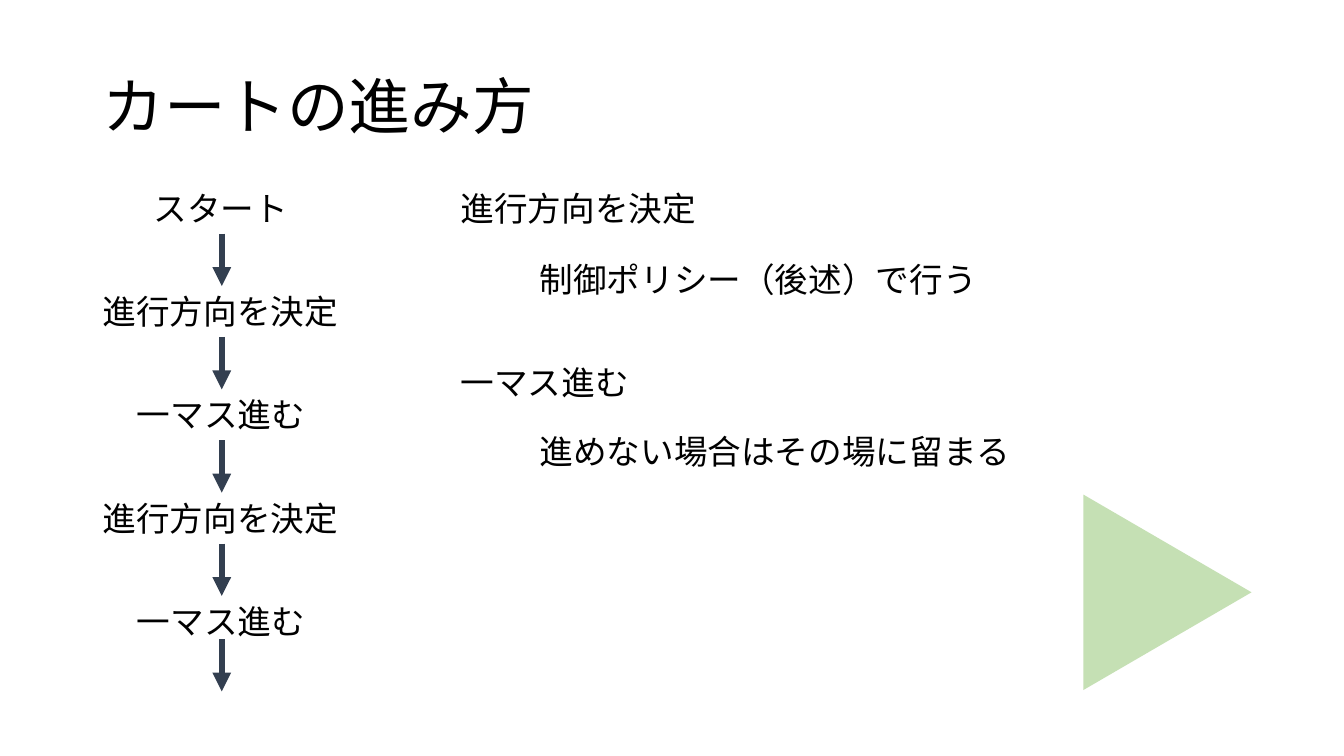
from lxml.etree import SubElement
from pptx import Presentation
from pptx.dml.color import RGBColor
from pptx.enum.shapes import MSO_CONNECTOR, MSO_SHAPE
from pptx.enum.text import MSO_ANCHOR, MSO_AUTO_SIZE, PP_ALIGN
from pptx.oxml.ns import qn
from pptx.util import Pt

# Content
TITLE = "カートの進み方"
DECIDE, ADVANCE = "進行方向を決定", "一マス進む"
STEPS = [  # text, box width
    ("スタート", 111.6),
    (DECIDE, 184.3),
    (ADVANCE, 135.4),
    (DECIDE, 184.3),
    (ADVANCE, 135.4),
]
NOTES = [  # text, left, top, width, wrap
    (DECIDE, 322, 130.5, 184.3, False),
    ("制御ポリシー（後述）で行う", 378.5, 181.5, 412, True),
    (ADVANCE, 322, 255, 135.4, False),
    ("進めない場合はその場に留まる", 378.5, 304, 509, True),
]

# Style and layout
FONT = "Noto Sans CJK JP"
COLORS = {"text": "000000", "arrow": "333F50", "triangle": "C5E0B4"}
FLOW_X, FLOW_TOP, PITCH = 158.4, 130.5, 73.8
BOX_H = 36.35
LAST_ARROW_TOP, ARROW_LEN = 456.5, 37.4


def color(name):
    return RGBColor.from_string(COLORS[name])


def write(tf, text, size=24, wrap=True, anchor=MSO_ANCHOR.TOP,
          fit=MSO_AUTO_SIZE.SHAPE_TO_FIT_TEXT, spacing=None):
    tf.word_wrap, tf.vertical_anchor, tf.auto_size = wrap, anchor, fit
    p = tf.paragraphs[0]
    p.alignment = PP_ALIGN.LEFT
    p.line_spacing = spacing
    r = p.add_run()
    r.text = text
    r.font.size, r.font.name = Pt(size), FONT
    r.font.color.rgb = color("text")
    SubElement(r.font._element, qn("a:ea"), typeface=FONT)


def add_text(slide, text, left, top, width, **fmt):
    sp = slide.shapes.add_textbox(Pt(left), Pt(top), Pt(width), Pt(BOX_H))
    write(sp.text_frame, text, **fmt)
    return sp


def add_arrow(slide, top, bottom):
    cx = slide.shapes.add_connector(
        MSO_CONNECTOR.STRAIGHT, Pt(FLOW_X), Pt(top), Pt(FLOW_X), Pt(bottom))
    cx.line.color.rgb = color("arrow")
    cx.line.width = Pt(4.5)
    SubElement(cx.line._get_or_add_ln(), qn("a:tailEnd"), type="triangle")
    SubElement(cx._element.spPr, qn("a:effectLst"))
    return cx


def main():
    prs = Presentation()
    prs.slide_width, prs.slide_height = Pt(960), Pt(540)
    slide = prs.slides.add_slide(prs.slide_layouts[5])

    # Title
    title = slide.shapes.title
    title.left, title.top, title.width, title.height = Pt(66), Pt(26), Pt(828), Pt(104.4)
    write(title.text_frame, TITLE, size=44, anchor=MSO_ANCHOR.MIDDLE,
          fit=MSO_AUTO_SIZE.NONE, spacing=0.9)

    # Flow of steps
    boxes = [add_text(slide, text, FLOW_X - width / 2, FLOW_TOP + i * PITCH, width, wrap=False)
             for i, (text, width) in enumerate(STEPS)]

    # Arrows between steps, and one leading onward
    for i, (upper, lower) in enumerate(zip(boxes, boxes[1:])):
        top = FLOW_TOP + i * PITCH
        cx = add_arrow(slide, top + BOX_H, top + PITCH)
        cx.begin_connect(upper, 2)
        cx.end_connect(lower, 0)
    add_arrow(slide, LAST_ARROW_TOP, LAST_ARROW_TOP + ARROW_LEN)

    # Explanations
    for text, left, top, width, wrap in NOTES:
        add_text(slide, text, left, top, width, wrap=wrap)

    # Triangle pointing right
    sp = slide.shapes.add_shape(
        MSO_SHAPE.ISOSCELES_TRIANGLE, Pt(764), Pt(363), Pt(139.7), Pt(120.2))
    sp.rotation = 90
    sp.shadow.inherit = False
    sp.fill.solid()
    sp.fill.fore_color.rgb = color("triangle")
    sp.line.fill.background()

    prs.save("out.pptx")


if __name__ == "__main__":
    main()
